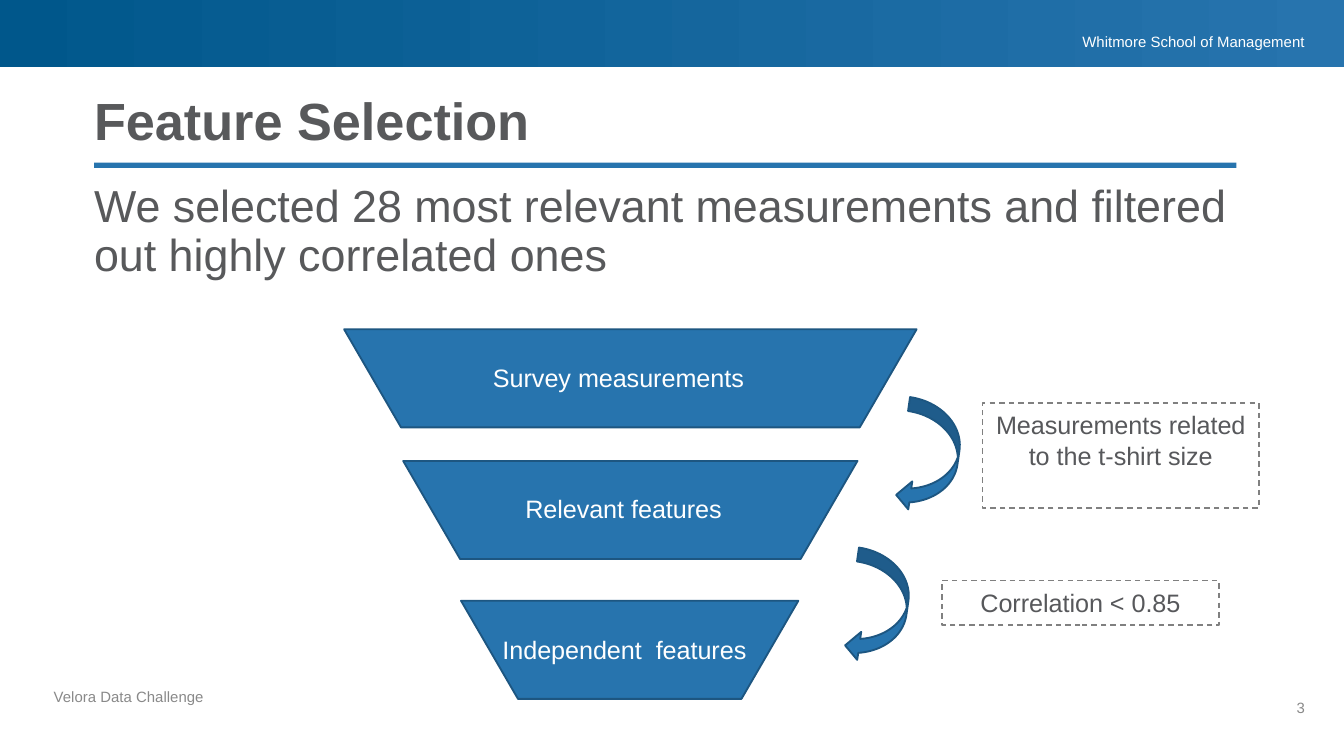
from lxml import etree
from pptx import Presentation
from pptx.dml.color import RGBColor
from pptx.enum.dml import MSO_LINE
from pptx.enum.shapes import MSO_SHAPE as Shape
from pptx.enum.text import MSO_ANCHOR as Anchor, PP_ALIGN as Align
from pptx.oxml.ns import qn
from pptx.util import Inches, Pt

BLUE = RGBColor(0x27, 0x74, 0xAE)
DEEP_BLUE = RGBColor(0x00, 0x57, 0x8B)
EDGE_BLUE = RGBColor(0x1D, 0x56, 0x81)
TITLE_GRAY = RGBColor(0x58, 0x59, 0x5B)
NOTE_GRAY = RGBColor(0x57, 0x58, 0x5B)
FOOTER_GRAY = RGBColor(0x89, 0x89, 0x89)
DASH_GRAY = RGBColor(0x80, 0x80, 0x80)
WHITE = RGBColor(0xFF, 0xFF, 0xFF)
FONT = "Arial"
DEFAULT_INSETS = (0.1, 0.05, 0.1, 0.05)


def write_text(shape, text, size=13.5, color=WHITE, bold=False, align=Align.LEFT,
               anchor=Anchor.TOP, insets=DEFAULT_INSETS, spacing=1.0, wrap=True):
    frame = shape.text_frame
    frame.word_wrap = wrap
    frame.vertical_anchor = anchor
    (frame.margin_left, frame.margin_top,
     frame.margin_right, frame.margin_bottom) = map(Inches, insets)
    paragraph = frame.paragraphs[0]
    paragraph.alignment = align
    paragraph.line_spacing = spacing
    paragraph.space_before = Pt(0)
    run = paragraph.add_run()
    run.text = text
    run.font.name = FONT
    run.font.size = Pt(size)
    run.font.bold = bold
    run.font.color.rgb = color
    return paragraph


class SlideBuilder:
    def __init__(self, slide):
        self.slide = slide

    def shape(self, kind, box, fill=None, line=None, width=1, rotation=0):
        shape = self.slide.shapes.add_shape(kind, *map(Inches, box))
        shape.shadow.inherit = False
        shape.rotation = rotation
        if fill is None:
            shape.fill.background()
        else:
            shape.fill.solid()
            shape.fill.fore_color.rgb = fill
        if line is None:
            shape.line.fill.background()
        else:
            shape.line.color.rgb = line
            shape.line.width = Pt(width)
        return shape

    def banner(self, box):
        banner = self.shape(Shape.RECTANGLE, box, BLUE)
        banner.fill.gradient()
        banner.fill.gradient_angle = 0
        for stop, position, color in zip(banner.fill.gradient_stops, (0, 1), (DEEP_BLUE, BLUE)):
            stop.position = position
            stop.color.rgb = color

    def label(self, text, box, **style):
        write_text(self.slide.shapes.add_textbox(*map(Inches, box)), text, **style)

    def placeholder(self, shape, text, box, **style):
        shape.left, shape.top, shape.width, shape.height = map(Inches, box)
        return write_text(shape, text, color=TITLE_GRAY, anchor=Anchor.BOTTOM,
                          insets=(0, 0, 0, 0), spacing=0.9, **style)

    def title(self, text, box):
        self.placeholder(self.slide.shapes.title, text, box, size=28, bold=True)

    def body(self, text, box):
        paragraph = self.placeholder(self.slide.placeholders[1], text, box, size=24)
        properties = paragraph._p.get_or_add_pPr()
        properties.set("marL", "0")
        properties.set("indent", "0")
        etree.SubElement(properties, qn("a:buNone"))

    def funnel_stage(self, text, box, label_box):
        stage = self.shape(Shape.TRAPEZOID, box, BLUE, EDGE_BLUE, rotation=180)
        stage.adjustments[0] = 0.58
        self.label(text, label_box, wrap=False)

    def filter_step(self, text, arrow_left, arrow_top, note_box):
        self.shape(Shape.CURVED_LEFT_ARROW, (arrow_left, arrow_top, 0.42, 0.84),
                   BLUE, EDGE_BLUE, rotation=8.1)
        note = self.shape(Shape.RECTANGLE, note_box, line=DASH_GRAY, width=0.75)
        note.line.dash_style = MSO_LINE.DASH
        write_text(note, text, color=NOTE_GRAY, align=Align.CENTER)


def main():
    presentation = Presentation()
    presentation.slide_width = Inches(10)
    presentation.slide_height = Inches(10) * 9 // 16
    builder = SlideBuilder(presentation.slides.add_slide(presentation.slide_layouts[1]))

    builder.shape(Shape.RECTANGLE, (0.7, 1.21, 8.5, 0.04), BLUE)
    builder.banner((0, 0, 10, 0.5))
    builder.label("Whitmore School of Management", (7.2, 0.23, 2.51, 0.14), size=8,
                  align=Align.RIGHT, insets=(0.1, 0.01, 0, 0.01))
    builder.label("Velora Data Challenge", (0.4, 5.21, 3.9, 0.4), size=8,
                  color=FOOTER_GRAY, insets=(0, 0, 0, 0.28), spacing=0.9)
    builder.label("3", (9.21, 5.2, 0.5, 0.4), size=8, color=FOOTER_GRAY,
                  align=Align.RIGHT, insets=(0, 0, 0, 0))

    builder.title("Feature Selection", (0.7, 0.7, 8.5, 0.43))
    builder.body("We selected 28 most relevant measurements and filtered out highly "
                 "correlated ones", (0.7, 1.36, 8.5, 0.73))

    stages = (
        ("Survey measurements", (2.56, 2.45, 4.26, 0.73), (3.57, 2.65, 2.24, 0.33)),
        ("Relevant features", (3, 3.43, 3.38, 0.73), (3.81, 3.62, 1.75, 0.33)),
        ("Independent  features", (3.43, 4.47, 2.51, 0.73), (3.64, 4.67, 2.09, 0.33)),
    )
    for text, box, label_box in stages:
        builder.funnel_stage(text, box, label_box)

    builder.filter_step("Measurements related to the t-shirt size", 6.71, 2.98,
                        (7.31, 3, 2.06, 0.78))
    builder.filter_step("Correlation < 0.85", 6.33, 4.1, (7.01, 4.32, 2.06, 0.33))

    presentation.save("out.pptx")


if __name__ == "__main__":
    main()
